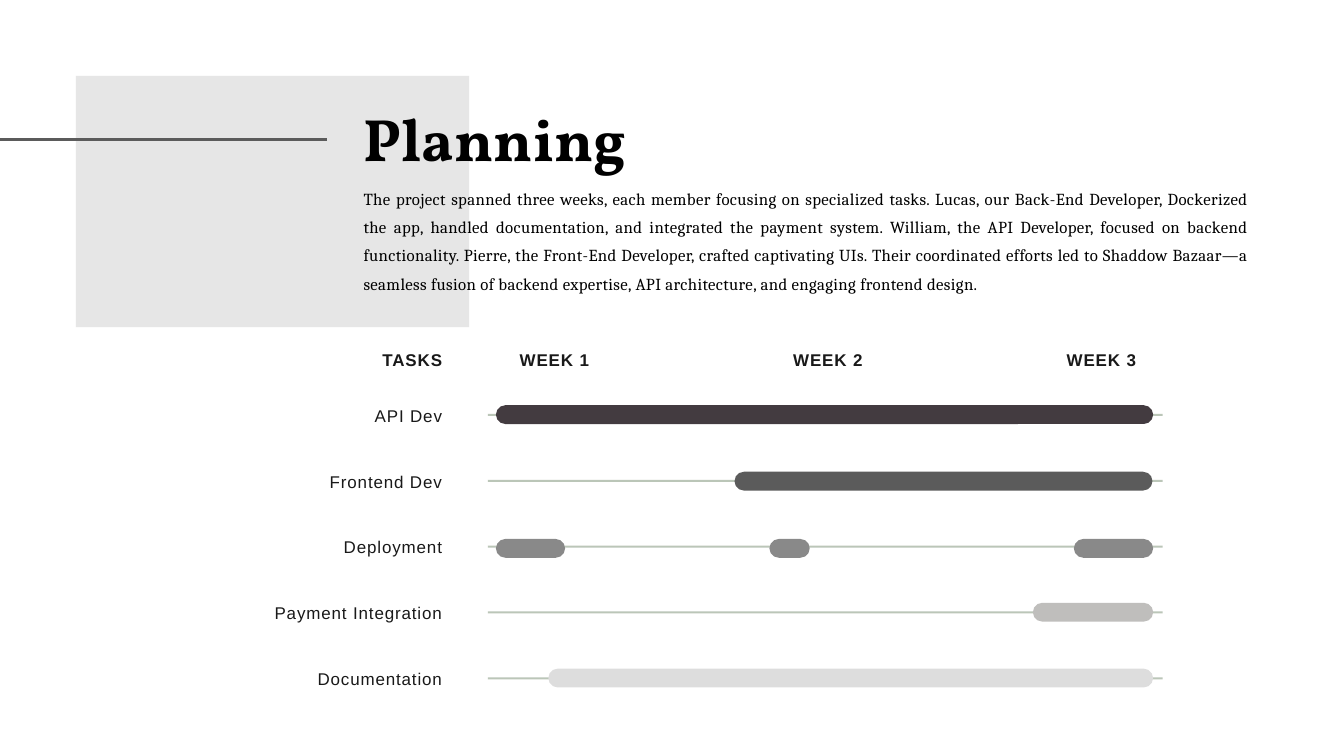
from lxml import etree
from pptx import Presentation
from pptx.dml.color import RGBColor
from pptx.enum import shapes as sh, text as tx
from pptx.oxml.ns import qn
from pptx.util import Inches, Pt

INK, BLACK, RAIL, SLATE = "191919", "000000", "AAB8A7", "5B5B5B"

WEEKS = ["WEEK 1", "WEEK 2", "WEEK 3"]
# task, bar colour, bar drop below the row top, (start, length) from the chart's left
TASKS = [
    ("API Dev", "433B40", 0.05, [(5.2, 9.78)]),
    ("Frontend Dev", SLATE, 0.06, [(8.75, 6.22)]),
    ("Deployment", "898989", 0.08, [(5.2, 1.03), (9.27, 0.6), (13.8, 1.18)]),
    ("Payment Integration", "BFBEBC", 0.05, [(13.19, 1.79)]),
    ("Documentation", "DDDDDD", 0.05, [(5.98, 9)]),
]
SUMMARY = (
    "The project spanned three weeks, each member focusing on specialized tasks. "
    "Lucas, our Back-End Developer, Dockerized the app, handled documentation, and "
    "integrated the payment system. William, the API Developer, focused on backend "
    "functionality. Pierre, the Front-End Developer, crafted captivating UIs. Their "
    "coordinated efforts led to Shaddow Bazaar—a seamless fusion of backend expertise, "
    "API architecture, and engaging frontend design."
)


def rgb(color):
    return RGBColor.from_string(color)


def add_text(slide, box, words, size, font, color, align, leading, bold=False, tracking=0):
    """Add a text box without margins; leading in points, tracking in 1/100 point."""
    frame = slide.shapes.add_textbox(*map(Inches, box)).text_frame
    frame.word_wrap = True
    frame.margin_left = frame.margin_right = frame.margin_top = frame.margin_bottom = 0
    paragraph = frame.paragraphs[0]
    paragraph.text = words
    paragraph.alignment = align
    paragraph.line_spacing = Pt(leading)
    run = paragraph.runs[0]
    run.font.size, run.font.name, run.font.bold = Pt(size), font, bold
    run.font.color.rgb = rgb(color)
    if tracking:
        run.font._element.set("spc", str(tracking))


def add_block(slide, kind, box, color, opacity=100):
    block = slide.shapes.add_shape(kind, *map(Inches, box))
    block.shadow.inherit = False
    block.fill.solid()
    block.fill.fore_color.rgb = rgb(color)
    block.line.fill.background()
    if opacity < 100:
        tint = block.fill._xPr.find(qn("a:solidFill"))[0]
        etree.SubElement(tint, qn("a:alpha")).set("val", str(opacity * 1000))
    return block


def add_rule(slide, start, end, color, width):
    rule = slide.shapes.add_connector(sh.MSO_CONNECTOR.STRAIGHT, *map(Inches, start + end))
    rule.line.color.rgb = rgb(color)
    rule.line.width = Pt(width)
    etree.SubElement(rule._element.spPr, qn("a:effectLst"))


def add_header(slide, left, top):
    justify = tx.PP_ALIGN.JUSTIFY
    add_block(slide, sh.MSO_SHAPE.RECTANGLE, (left, top, 5.85, 3.74), "E6E6E6")
    add_rule(slide, (-0.11, top + 0.95), (left + 3.73, top + 0.95), SLATE, 3)
    add_text(slide, (left + 4.28, top + 0.21, 5.34, 1.19), "Planning", 64, "Vollkorn",
             BLACK, justify, 89.6, bold=True)
    add_text(slide, (left + 4.28, top + 1.55, 13.18, 2.05), SUMMARY, 18, "Cambria",
             BLACK, justify, 30.4, tracking=40)


def add_gantt(slide, left, top):
    def label(x, y, width, words, align, heading=False):
        height, leading = (0.32, 23.7) if heading else (0.34, 25.5)
        add_text(slide, (left + x, y, width, height), words, 18.2, "Arial", INK,
                 align, leading, bold=heading, tracking=90)

    label(0, top, 4.4, "TASKS", tx.PP_ALIGN.RIGHT, heading=True)
    for column, week in enumerate(WEEKS):
        label(5.08 + 4.07 * column, top, 1.98, week, tx.PP_ALIGN.CENTER, heading=True)

    for row, (task, color, drop, bars) in enumerate(TASKS):
        y = top + 0.81 + 0.98 * row
        label(0, y, 4.4, task, tx.PP_ALIGN.RIGHT)
        add_block(slide, sh.MSO_SHAPE.RECTANGLE, (left + 5.08, y + 0.18, 10.04, 0.03),
                  RAIL, opacity=80)
        for start, length in bars:
            bar = add_block(slide, sh.MSO_SHAPE.ROUNDED_RECTANGLE,
                            (left + start, y + drop, length, 0.28), color)
            bar.adjustments[0] = 0.5


def main():
    deck = Presentation()
    deck.slide_width, deck.slide_height = Inches(20), Inches(11.25)
    slide = deck.slides.add_slide(deck.slide_layouts[6])
    add_header(slide, 1.13, 1.13)
    add_gantt(slide, 2.18, 5.17)
    deck.save("out.pptx")


if __name__ == "__main__":
    main()
